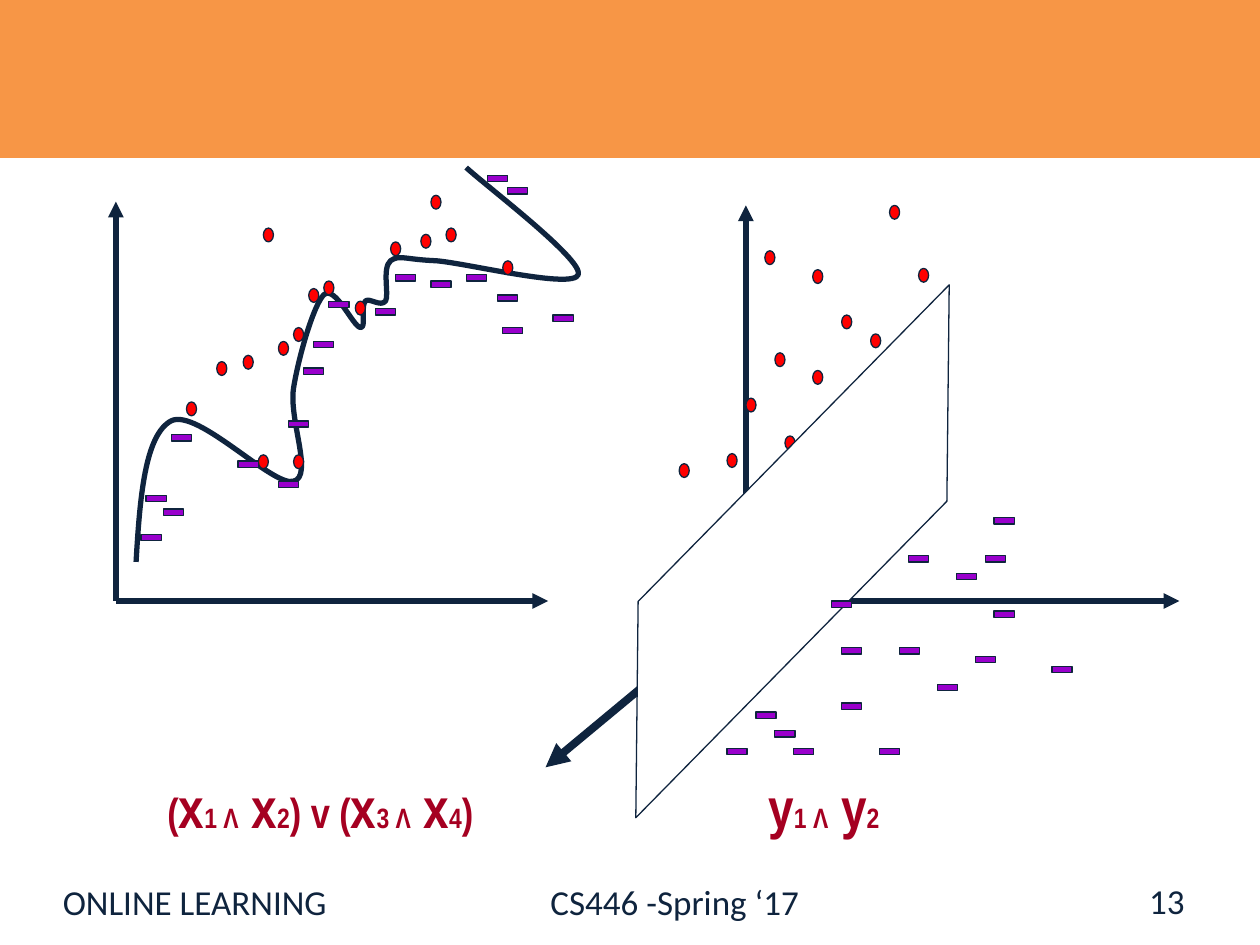
from dataclasses import dataclass
from lxml.etree import SubElement
from pptx import Presentation
from pptx.dml.color import RGBColor as Rgb
from pptx.enum.shapes import MSO_CONNECTOR as Link, MSO_SHAPE as Kind
from pptx.enum.text import MSO_ANCHOR as Anchor, MSO_AUTO_SIZE as Fit, PP_ALIGN as Align
from pptx.oxml.ns import qn
from pptx.util import Pt

PX = 9144


@dataclass(frozen=True)
class Theme:
    """Colours, fonts and type sizes of the slide."""
    ink: Rgb = Rgb(0x0F, 0x24, 0x3E)
    band: Rgb = Rgb(0xF7, 0x96, 0x46)
    dot: Rgb = Rgb(0xFF, 0x00, 0x00)
    dash: Rgb = Rgb(0x99, 0x00, 0xCC)
    plane: Rgb = Rgb(0xFF, 0xFF, 0xFF)
    math: Rgb = Rgb(0xA5, 0x00, 0x21)
    body: str = "Calibri"
    narrow: str = "Arial Narrow"
    foot: int = 20
    big: int = 32
    mid: int = 24
    sub: int = 16
    thin: float = 0.75
    bold: float = 3
    heavy: float = 4.5


T = Theme()

LEFT_DOTS = [
    (125, 231), (153, 130), (129, 51), (141, 141), (165, 99), (153, 231),
    (202, 109), (177, 93), (113, 152), (92, 157), (68, 189), (262, 25),
    (319, 77), (254, 56), (230, 62), (274, 51)]
LEFT_DASHES = [
    (169, 141), (36, 263), (290, 88), (149, 204), (234, 88), (181, 109),
    (109, 236), (262, 93), (323, 19), (218, 115), (307, 9), (161, 162),
    (56, 215), (319, 130), (315, 104), (141, 252), (359, 120), (32, 294),
    (50, 274)]
CURVE = [
    (28, 316),
    (31, 265), (35, 215), (56, 204), (77, 194), (137, 257), (153, 252),
    (169, 248), (149, 203), (153, 178), (157, 153), (169, 112), (177, 104),
    (186, 96), (200, 129), (206, 130), (211, 131), (206, 113), (210, 109),
    (213, 106), (222, 114), (226, 109), (229, 104), (223, 83), (230, 77),
    (237, 72), (241, 76), (266, 77), (291, 79), (375, 100), (379, 88),
    (383, 76), (305, 17), (290, 3)]
RIGHT_DOTS = [
    (177, 39), (276, 3), (215, 54), (299, 53), (238, 90), (185, 120),
    (261, 105), (109, 208), (215, 134), (162, 156), (147, 200), (193, 186)]
RIGHT_DASHES = [
    (329, 295), (352, 281), (359, 325), (230, 317), (291, 281), (405, 369),
    (284, 354), (359, 251), (314, 383), (238, 398), (344, 361), (238, 354),
    (268, 434), (147, 434), (170, 405), (185, 420), (200, 434)]


def emu(*nums):
    """Turn px lengths into EMU."""
    return [n * PX for n in nums]


def block(slide, kind, box, fill, line):
    """Add a filled preset shape with a thin outline."""
    shape = slide.shapes.add_shape(kind, *emu(*box))
    shape.shadow.inherit = False
    shape.fill.solid()
    shape.fill.fore_color.rgb = fill
    shape.line.color.rgb = line
    shape.line.width = Pt(T.thin)
    return shape


def marks(slide, box, kind, size, fill, spots):
    """Scatter equal marks at spots inside the box."""
    for x, y in spots:
        block(slide, kind, (box[0] + x, box[1] + y, *size), fill, T.ink)


def dots(slide, box, spots):
    """Scatter the positive examples."""
    marks(slide, box, Kind.OVAL, (8, 11), T.dot, spots)


def dashes(slide, box, spots):
    """Scatter the negative examples."""
    marks(slide, box, Kind.RECTANGLE, (16, 5), T.dash, spots)


def axis(slide, box, start, end, width):
    """Draw an axis with an arrowhead at its end."""
    x, y = box[:2]
    ends = emu(x + start[0], y + start[1], x + end[0], y + end[1])
    line = slide.shapes.add_connector(Link.STRAIGHT, *ends)
    line.line.color.rgb = T.ink
    line.line.width = Pt(width)
    SubElement(line.line._get_or_add_ln(), qn("a:tailEnd"), type="triangle")
    SubElement(line._element.spPr, qn("a:effectLst"))


def curve(slide, box, nodes):
    """Draw a chain of cubic curves from a start and triples of nodes."""
    spots = [emu(box[0] + x, box[1] + y) for x, y in nodes]
    pen = slide.shapes.build_freeform(*spots[0], scale=1.0)
    pen.add_line_segments(spots[1:], close=False)
    shape = pen.convert_to_shape()
    track = shape._element.find(".//" + qn("a:path"))
    steps = track.findall(qn("a:lnTo"))
    for i in range(0, len(steps), 3):
        bend = SubElement(track, qn("a:cubicBezTo"))
        for step in steps[i:i + 3]:
            bend.append(step[0])
            track.remove(step)
    shape.shadow.inherit = False
    shape.fill.background()
    shape.line.color.rgb = T.ink
    shape.line.width = Pt(T.bold)


def label(slide, box, parts, font, color, bold=False, wrap=True):
    """Add a one-line text box from pairs of text and size."""
    frame = slide.shapes.add_textbox(*emu(*box)).text_frame
    frame.word_wrap = wrap
    para = frame.paragraphs[0]
    for text, size in parts:
        run = para.add_run()
        run.text = text
        run.font.name = font
        run.font.size = Pt(size)
        run.font.bold = bold
        run.font.color.rgb = color
    return frame


def formula(slide, box, parts):
    """Write a bold formula that fits its box to the text."""
    frame = label(slide, box, parts, T.narrow, T.math, True, False)
    frame.auto_size = Fit.SHAPE_TO_FIT_TEXT


def curved(slide, box):
    """Plot the data split by a winding curve."""
    axis(slide, box, (12, 347), (12, 30), T.bold)
    axis(slide, box, (12, 347), (355, 347), T.bold)
    curve(slide, box, CURVE)
    dots(slide, box, LEFT_DOTS)
    dashes(slide, box, LEFT_DASHES)


def planar(slide, box):
    """Plot the data split by a plane in three dimensions."""
    base = (162, 317)
    axis(slide, box, base, (162, 3), T.bold)
    axis(slide, box, base, (506, 317), T.bold)
    axis(slide, box, base, (3, 449), T.heavy)
    dots(slide, box, RIGHT_DOTS)
    place = (box[0] - 39, box[1] + 218, 476, 119)
    plane = block(slide, Kind.PARALLELOGRAM, place, T.plane, T.ink)
    plane.adjustments[0] = 1.04
    plane.rotation = 314.5
    dashes(slide, box, RIGHT_DASHES)


def footer(slide, box):
    """Write the course line and the page number."""
    x, y, w, h = box
    frame = label(slide, box, [("ONLINE LEARNING\tCS446 -Spring ‘17", T.foot)],
                  T.body, T.ink)
    tabs = SubElement(frame.paragraphs[0]._p.get_or_add_pPr(), qn("a:tabLst"))
    SubElement(tabs, qn("a:tab"), pos=str(387 * PX), algn="l")
    page = label(slide, (x + w - 283, y + 1, 233, 40), [("13", T.foot)],
                 T.body, T.ink)
    page.vertical_anchor = Anchor.MIDDLE
    page.paragraphs[0].alignment = Align.RIGHT


def main():
    """Build and save the slide."""
    deck = Presentation()
    deck.slide_width, deck.slide_height = emu(1000, 750)
    slide = deck.slides.add_slide(deck.slide_layouts[6])
    block(slide, Kind.RECTANGLE, (0, 0, 1000, 125), T.band, T.band)
    footer(slide, (40, 694, 960, 56))
    curved(slide, (80, 130, 390, 350))
    planar(slide, (430, 160, 510, 500))
    formula(slide, (123, 608, 274, 63), [
        ("(", T.mid), ("x", T.big), ("1 Λ  ", T.sub), ("x", T.big),
        ("2", T.sub), (") v (", T.mid), ("x", T.big), ("3 Λ  ", T.sub),
        ("x", T.big), ("4", T.sub), (")", T.mid), (" ", T.sub)])
    formula(slide, (600, 608, 111, 63), [
        ("y", T.big), ("1 Λ  ", T.sub), ("y", T.big), ("2", T.sub)])
    deck.save("out.pptx")


if __name__ == "__main__":
    main()
